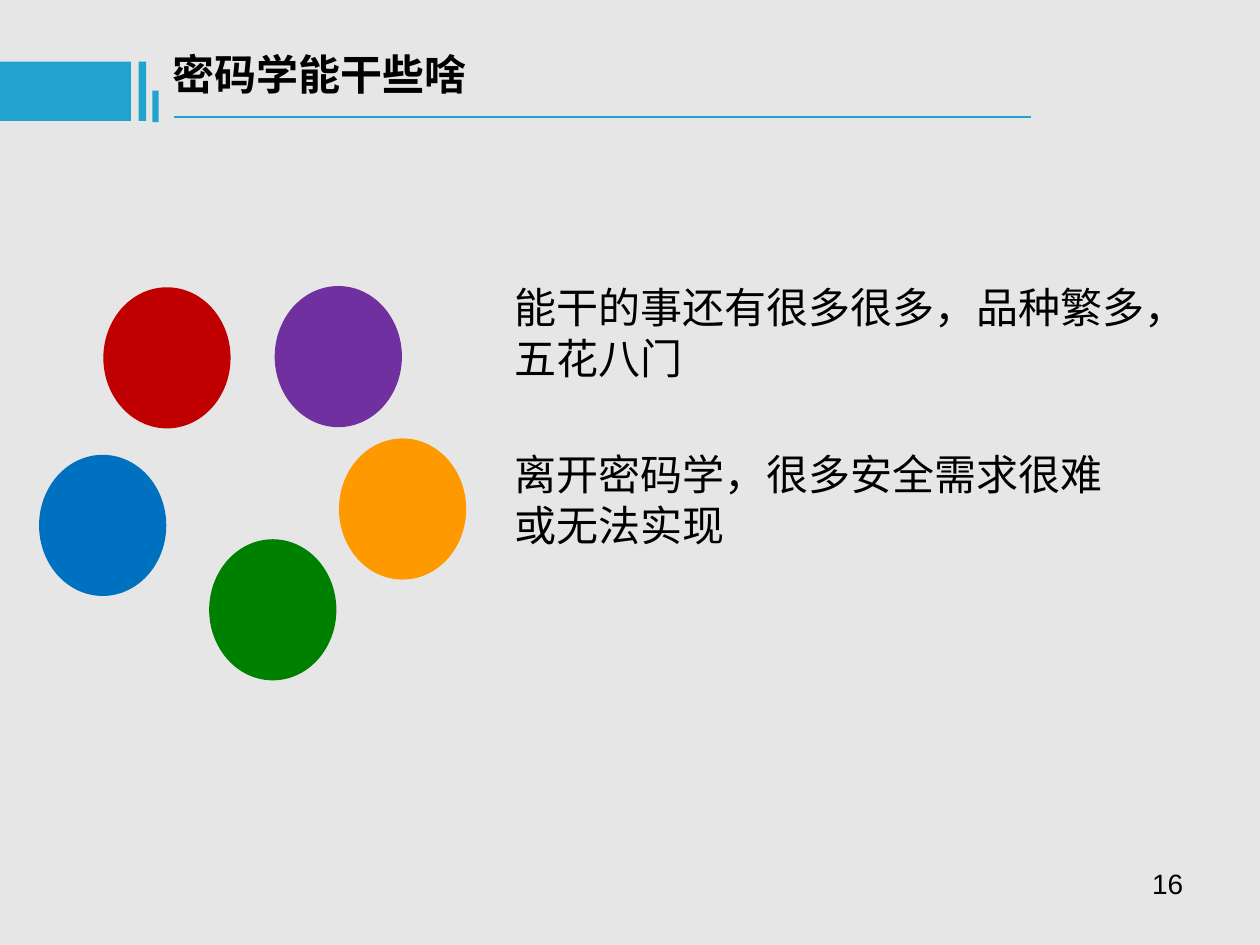
from dataclasses import dataclass

from lxml.etree import SubElement
from pptx import Presentation
from pptx.dml.color import RGBColor
from pptx.enum.shapes import MSO_CONNECTOR, MSO_SHAPE
from pptx.enum.text import MSO_ANCHOR, MSO_AUTO_SIZE, PP_ALIGN
from pptx.oxml.ns import qn
from pptx.util import Inches, Pt

WIDTH, HEIGHT = 10, 7.5
COLORS = {
    "background": "E7E6E6", "accent": "21A3D0", "text": "000000",
    "red": "C00000", "purple": "7030A0", "blue": "0070C0",
    "orange": "FF9900", "green": "008000",
}
CJK = "Noto Sans CJK SC"


@dataclass(frozen=True)
class Area:
    left: float
    top: float
    width: float
    height: float

    def emu(self) -> tuple:
        return tuple(Inches(v) for v in (self.left, self.top, self.width, self.height))


@dataclass(frozen=True)
class Block:
    area: Area
    color: str


PETAL_WIDTH, PETAL_HEIGHT = 1.01, 1.12


def petal(left: float, top: float, color: str) -> Block:
    return Block(Area(left, top, PETAL_WIDTH, PETAL_HEIGHT), color)


PETALS = [
    petal(0.82, 2.28, "red"),
    petal(2.18, 2.27, "purple"),
    petal(0.31, 3.61, "blue"),
    petal(2.69, 3.48, "orange"),
    petal(1.66, 4.28, "green"),
]
BARS = [
    Block(Area(0, 0.49, 1.04, 0.47), "accent"),
    Block(Area(1.1, 0.49, 0.06, 0.47), "accent"),
    Block(Area(1.21, 0.72, 0.05, 0.25), "accent"),
]
STATEMENTS = [
    ("能干的事还有很多很多，品种繁多，五花八门", Area(0.4 * WIDTH, 2.19, 5.39, 0.88)),
    ("离开密码学，很多安全需求很难或无法实现", Area(0.4 * WIDTH, 3.52, 5.1, 0.88)),
]


def rgb(name: str) -> RGBColor:
    return RGBColor.from_string(COLORS[name])


def draw_blocks(group, kind: MSO_SHAPE, blocks: list[Block]) -> None:
    for block in blocks:
        shape = group.shapes.add_shape(kind, *block.area.emu())
        shape.shadow.inherit = False
        shape.fill.solid()
        shape.fill.fore_color.rgb = rgb(block.color)
        shape.line.fill.background()


def draw_rule(group, left: float, right: float, y: float) -> None:
    rule = group.shapes.add_connector(
        MSO_CONNECTOR.STRAIGHT, Inches(left), Inches(y), Inches(right), Inches(y))
    rule.line.color.rgb = rgb("accent")
    rule.line.width = Pt(1.5)
    SubElement(rule._element.spPr, qn("a:effectLst"))


def write(shape, text: str, area: Area, *, font: str = CJK, size: float = 24,
          bold: bool = False, align: PP_ALIGN = PP_ALIGN.LEFT,
          inset: tuple = (0.08, 0.04), line_height: float = 29) -> None:
    shape.left, shape.top, shape.width, shape.height = area.emu()
    frame = shape.text_frame
    frame.word_wrap = True
    frame.auto_size = MSO_AUTO_SIZE.NONE
    frame.vertical_anchor = MSO_ANCHOR.TOP
    frame.margin_left = frame.margin_right = Inches(inset[0])
    frame.margin_top = frame.margin_bottom = Inches(inset[1])
    paragraph = frame.paragraphs[0]
    paragraph.alignment = align
    paragraph.space_before = paragraph.space_after = Pt(0)
    paragraph.line_spacing = Pt(line_height)
    properties = paragraph._p.get_or_add_pPr()
    properties.set("marL", "0")
    properties.set("indent", "0")
    SubElement(properties, qn("a:buNone"))
    run = paragraph.add_run()
    run.text = text
    run.font.name = font
    run.font.size = Pt(size)
    run.font.bold = bold
    run.font.color.rgb = rgb("text")
    SubElement(run._r.get_or_add_rPr(), qn("a:ea")).set("typeface", font)


def main() -> None:
    deck = Presentation()
    deck.slide_width, deck.slide_height = Inches(WIDTH), Inches(HEIGHT)
    slide = deck.slides.add_slide(deck.slide_layouts.get_by_name("Two Content"))
    slide.background.fill.solid()
    slide.background.fill.fore_color.rgb = rgb("background")

    title, *bodies = slide.placeholders
    write(title, "密码学能干些啥", Area(1.27, 0.33, 4.08, 0.5),
          bold=True, inset=(0.1, 0.05))
    ornament = slide.shapes.add_group_shape()
    draw_blocks(ornament, MSO_SHAPE.RECTANGLE, BARS)
    draw_rule(ornament, 1.38, 8.18, 0.93)

    for body, (statement, area) in zip(bodies, STATEMENTS):
        write(body, statement, area)

    page_number = slide.shapes.add_textbox(0, 0, 0, 0)
    write(page_number, "16", Area(7.17, 6.83, 2.33, 0.52), font="Arial", size=16,
          align=PP_ALIGN.RIGHT, inset=(0.11, 0.06), line_height=18.4)

    flower = slide.shapes.add_group_shape()
    draw_blocks(flower, MSO_SHAPE.OVAL, PETALS)
    deck.save("out.pptx")


if __name__ == "__main__":
    main()
